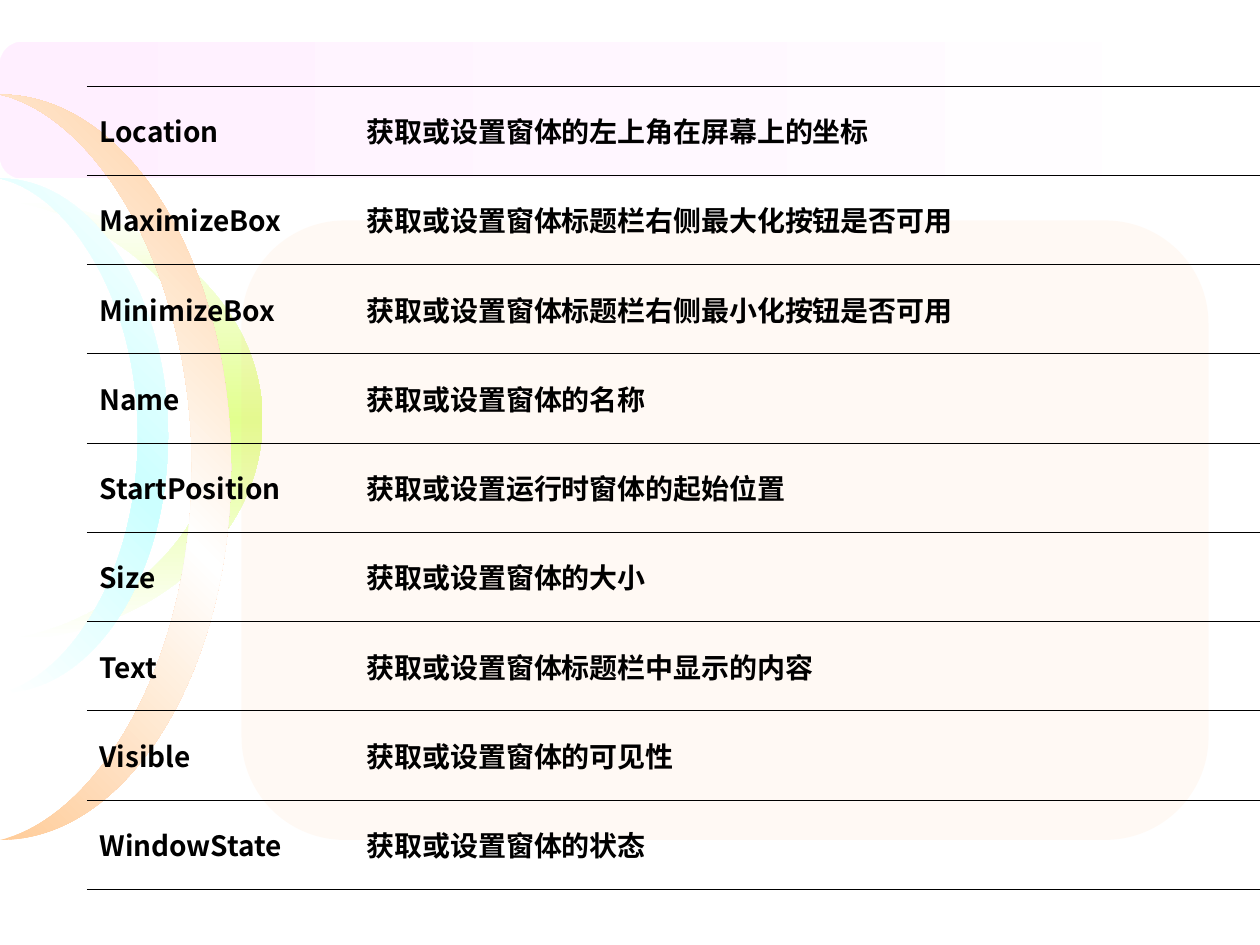
from lxml.etree import SubElement
from pptx import Presentation
from pptx.dml.color import RGBColor
from pptx.enum.shapes import MSO_SHAPE as SHAPE
from pptx.enum.text import MSO_ANCHOR as ANCHOR
from pptx.oxml import parse_xml
from pptx.oxml.ns import nsdecls, qn
from pptx.util import Inches, Pt

FONT = "Noto Sans CJK SC"
UNIT = Inches(1) / 12  # grid of 120 columns by 90 rows


def rgb(color):
    return RGBColor.from_string(color)


def put_text(tf, text, size=16, color="000000", bold=True):
    p = tf.paragraphs[0]
    r = p.add_run()
    r.text = text
    r.font.name, r.font.size, r.font.bold = FONT, Pt(size), bold
    r.font.color.rgb = rgb(color)
    SubElement(r.font._element, qn("a:ea"), typeface=FONT)


prs = Presentation()
prs.slide_width, prs.slide_height = round(120 * UNIT), round(90 * UNIT)
s = prs.slides.add_slide(prs.slide_layouts[6])

# Background band, crescents and panel:
# grid box, gradient colours, angle, inner edge as share of a crescent's width
decor = [
    ("band", (0, 4, 120, 13), ["FFFFFF", "FFEFFF"], 180, None),
    ("crescent", (0, 19, 25, 42), ["FFFFFF", "E2FF8F", "FFFFFF"], 270, 0.84),
    ("crescent", (0, 9, 22, 71), ["FFCC99", "FFFFFF", "FFCC99"], 315, 0.83),
    ("crescent", (0, 17, 16, 49), ["FFFFFF", "CCFFFF", "FFFFFF"], 315, 0.82),
    ("panel", (23, 21, 92.1, 59), ["FFCC99"], None, None),
]
for kind, box, colors, angle, inner in decor:
    left, top, width, height = (round(v * UNIT) for v in box)
    if kind == "crescent":
        # Four curves, in shares of width and half height, each ending on its
        # last point; drawn facing left, then turned half round
        curves = [
            [(inner / 2, 0.94), (inner, 0.53), (inner, 0)],
            [(inner, -0.53), (inner / 2, -0.94), (0, -1)],
            [(0.55, -1), (1, -0.55), (1, 0)],
            [(1, 0.55), (0.55, 1), (0, 1)],
        ]
        curves = [[(round(width * (1 - x)), round(height * (1 - y) / 2))
                   for x, y in curve] for curve in curves]
        ends = [(left + c[-1][0], top + c[-1][1]) for c in curves]
        fb = s.shapes.build_freeform(*ends[-1])
        fb.add_line_segments(ends)
        sp = fb.convert_to_shape()
        for line, curve in zip(list(sp._element.iter(qn("a:lnTo"))), curves):
            line.tag = qn("a:cubicBezTo")
            line[:] = []
            for x, y in curve:
                SubElement(line, qn("a:pt"), x=str(x), y=str(y))
        sp.rotation = 180
    else:
        sp = s.shapes.add_shape(SHAPE.FLOWCHART_ALTERNATE_PROCESS,
                                left, top, width, height)
    sp.shadow.inherit = False
    sp.line.fill.background()
    if angle is None:
        sp.fill.solid()
        sp.fill.fore_color.rgb = rgb(colors[0])
        solid = sp._element.spPr.find(qn("a:solidFill"))
        SubElement(solid[0], qn("a:alpha"), val="10000")
        continue
    sp.fill.gradient()
    sp.fill.gradient_angle = 360 - angle
    stops = next(sp._element.spPr.iter(qn("a:gsLst")))
    stops[:] = []
    for i, color in enumerate(colors):
        gs = SubElement(stops, qn("a:gs"), pos=str(100000 * i // (len(colors) - 1)))
        SubElement(gs, qn("a:srgbClr"), val=color)

# Table of form properties
properties = [
    ("Location", "获取或设置窗体的左上角在屏幕上的坐标"),
    ("MaximizeBox", "获取或设置窗体标题栏右侧最大化按钮是否可用"),
    ("MinimizeBox", "获取或设置窗体标题栏右侧最小化按钮是否可用"),
    ("Name", "获取或设置窗体的名称"),
    ("StartPosition", "获取或设置运行时窗体的起始位置"),
    ("Size", "获取或设置窗体的大小"),
    ("Text", "获取或设置窗体标题栏中显示的内容"),
    ("Visible", "获取或设置窗体的可见性"),
    ("WindowState", "获取或设置窗体的状态"),
]
col_widths, row_height = [25.44, 87.7], 8.5
table = s.shapes.add_table(
    len(properties), 2, round(8.28 * UNIT), round(8.18 * UNIT),
    round(sum(col_widths) * UNIT),
    round(row_height * len(properties) * UNIT)).table
table.first_row = table.horz_banding = False
for col, width in zip(table.columns, col_widths):
    col.width = round(width * UNIT)

# Cells with hairlines above and below only
rule = '<a:solidFill><a:srgbClr val="000000"/></a:solidFill>'
borders = [("lnL", "<a:noFill/>"), ("lnR", "<a:noFill/>"),
           ("lnT", rule), ("lnB", rule)]
for row, texts in zip(table.rows, properties):
    row.height = round(row_height * UNIT)
    for cell, text in zip(row.cells, texts):
        cell.vertical_anchor = ANCHOR.MIDDLE
        cell.fill.background()
        put_text(cell.text_frame, text)
        tc_pr = cell._tc.get_or_add_tcPr()
        for i, (tag, paint) in enumerate(borders):
            tc_pr.insert(i, parse_xml(
                f'<a:{tag} {nsdecls("a")} w="{Pt(0.23)}">{paint}</a:{tag}>'))

prs.save("out.pptx")
